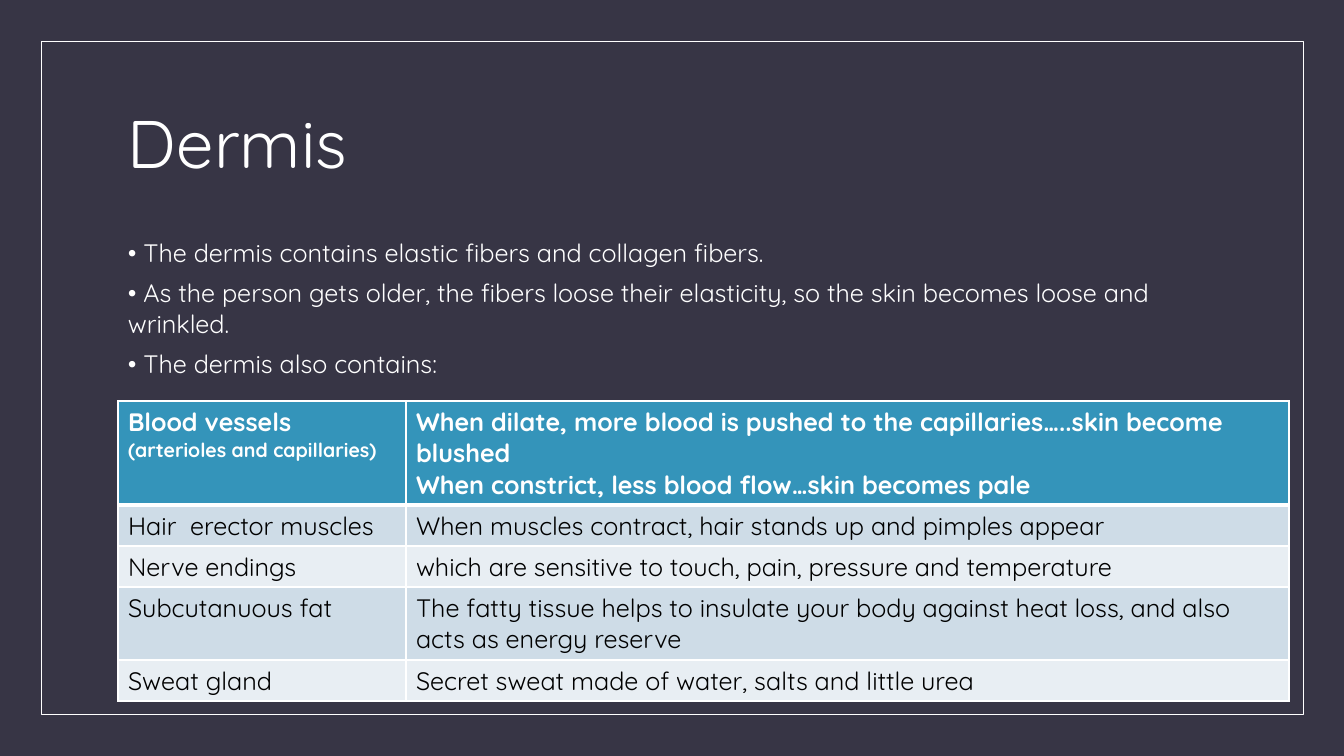
"""Build the Dermis slide with its notes and table of skin parts."""
import pptx
import pptx.util
import pptx.dml.color
import pptx.enum.shapes
import pptx.enum.text
import pptx.oxml
import pptx.oxml.ns

PX = 914400 / 100.8
RGB = pptx.dml.color.RGBColor
WHITE = RGB(0xFF, 0xFF, 0xFF)
BLACK = RGB(0x00, 0x00, 0x00)
NIGHT = RGB(0x37, 0x35, 0x45)
TEAL = RGB(0x34, 0x94, 0xBA)
MIST = RGB(0xCE, 0xDC, 0xE7)
PALE = RGB(0xE8, 0xEE, 0xF3)


def scale(*sizes):
    return [round(size * PX) for size in sizes]


def write(frame, lines, color, bold=False):
    frame.word_wrap = True
    frame.text = "\n".join(text for text, size in lines)
    for para, (text, size) in zip(frame.paragraphs, lines):
        font = para.runs[0].font
        font.name = "Quicksand"
        font.size = pptx.util.Pt(size)
        font.bold = bold
        font.color.rgb = color


deck = pptx.Presentation()
deck.slide_width, deck.slide_height = scale(1344, 756)
slide = deck.slides.add_slide(deck.slide_layouts[6])
slide.background.fill.solid()
slide.background.fill.fore_color.rgb = NIGHT

border = slide.shapes.add_shape(
    pptx.enum.shapes.MSO_SHAPE.RECTANGLE, *scale(41, 41, 1262, 673))
border.shadow.inherit = False
border.fill.background()
border.line.color.rgb = WHITE
border.line.width = pptx.util.Pt(0.5)

title = slide.shapes.add_textbox(*scale(118, 71, 1109, 151)).text_frame
write(title, [("Dermis", 48)], WHITE)
title.vertical_anchor = pptx.enum.text.MSO_ANCHOR.MIDDLE
title.paragraphs[0].line_spacing = 0.9

notes = [
    "• The dermis contains elastic fibers and collagen fibers.",
    "• As the person gets older, the fibers loose their elasticity, so the skin becomes loose and wrinkled.",
    "• The dermis also contains:",
]
body = slide.shapes.add_textbox(*scale(118, 232, 1109, 433)).text_frame
write(body, [(note, 18) for note in notes], WHITE)
for para in body.paragraphs[1:]:
    para.space_before = pptx.util.Pt(7.5)

parts = [
    ([("Blood vessels", 18), ("(arterioles and capillaries)", 14)],
     [("When dilate, more blood is pushed to the capillaries…..skin become blushed", 18),
      ("When constrict, less blood flow…skin becomes pale", 18)]),
    ([("Hair  erector muscles", 18)],
     [("When muscles contract, hair stands up and pimples appear", 18)]),
    ([("Nerve endings", 18)],
     [("which are sensitive to touch, pain, pressure and temperature", 18)]),
    ([("Subcutanuous fat", 18)],
     [("The fatty tissue helps to insulate your body against heat loss, and also acts as energy reserve", 18)]),
    ([("Sweat gland", 18)],
     [("Secret sweat made of water, salts and little urea", 18)]),
]
table = slide.shapes.add_table(
    len(parts), 2, *scale(118, 401, 1171, 300)).table
for column, width in zip(table.columns, scale(288, 883)):
    column.width = width
for row, height in zip(table.rows, scale(104, 41, 41, 73, 41)):
    row.height = height

for r, part in enumerate(parts):
    head = r == 0
    shade = TEAL if head else (PALE, MIST)[r % 2]
    for c, lines in enumerate(part):
        cell = table.cell(r, c)
        write(cell.text_frame, lines, WHITE if head else BLACK, head)
        props = cell._tc.get_or_add_tcPr()
        for side in "LRTB":
            thick = (head and side == "B") or (r == 1 and side == "T")
            width = pptx.util.Pt(3 if thick else 1)
            props.append(pptx.oxml.parse_xml(
                f'<a:ln{side} {pptx.oxml.ns.nsdecls("a")} w="{width}">'
                f'<a:solidFill><a:srgbClr val="{WHITE}"/></a:solidFill></a:ln{side}>'))
        cell.fill.solid()
        cell.fill.fore_color.rgb = shade

deck.save("out.pptx")
